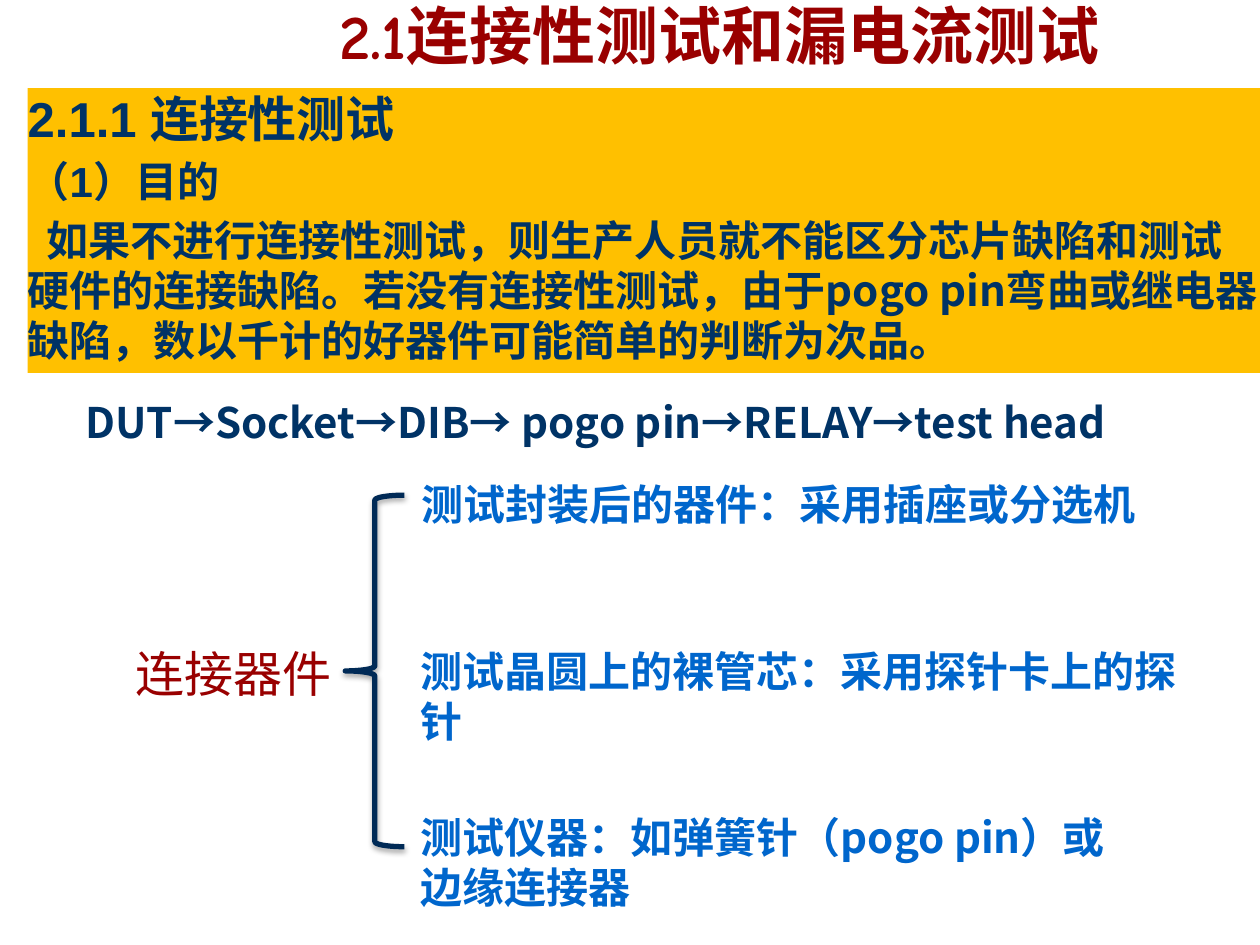
from dataclasses import dataclass

from lxml.etree import SubElement as Sub
from pptx import Presentation
from pptx.dml.color import RGBColor as Rgb
from pptx.enum.shapes import MSO_SHAPE as Kind
from pptx.enum.text import MSO_ANCHOR as Anchor, PP_ALIGN as Align
from pptx.oxml.ns import qn
from pptx.util import Inches, Pt

HUES = {"navy": "003366", "red": "990000", "blue": "0066CC",
        "gold": "FFC000", "white": "FFFFFF", "brace": "002A56",
        "shade": "000000"}
CJK = "Noto Sans CJK SC"


@dataclass
class Style:
    size: int
    hue: str
    font: str = CJK
    bold: bool = True


@dataclass
class Label:
    text: str
    box: tuple
    style: Style


def rgb(hue: str) -> Rgb:
    return Rgb.from_string(HUES[hue])


def add_run(para, text: str, style: Style) -> None:
    run = para.add_run()
    run.text = text
    font = run.font
    font.size, font.bold, font.name = Pt(style.size), style.bold, style.font
    font.color.rgb = rgb(style.hue)
    Sub(font._element, qn("a:ea"), typeface=CJK)


def add_panel(slide, kind: Kind, box: tuple, hue: str):
    shape = slide.shapes.add_shape(kind, *map(Inches, box))
    shape.shadow.inherit = False
    shape.fill.solid()
    shape.fill.fore_color.rgb = rgb(hue)
    shape.line.fill.background()
    shape.text_frame.word_wrap = True
    return shape


def add_label(slide, label: Label) -> None:
    frame = slide.shapes.add_textbox(*map(Inches, label.box)).text_frame
    frame.word_wrap = True
    add_run(frame.paragraphs[0], label.text, label.style)


def add_body(slide, rows: list) -> None:
    frame = add_panel(slide, Kind.RECTANGLE, (0.22, 0.7, 9.79, 2.26),
                      "gold").text_frame
    frame.margin_left = frame.margin_right = 0
    frame.margin_top = frame.margin_bottom = 0
    frame.vertical_anchor = Anchor.TOP
    for i, (text, style, indent) in enumerate(rows):
        para = frame.add_paragraph() if i else frame.paragraphs[0]
        para.alignment = Align.LEFT
        para.space_before = Pt(0.2 * style.size)
        para._p.get_or_add_pPr().set("indent", str(Inches(indent)))
        add_run(para, text, style)


def add_title(slide, text: str) -> None:
    panel = add_panel(slide, Kind.ROUNDED_RECTANGLE,
                      (2.09, 0.01, 7.24, 0.6), "white")
    panel.adjustments[0] = 0.22
    panel.text_frame.vertical_anchor = Anchor.MIDDLE
    para = panel.text_frame.paragraphs[0]
    para.alignment, para.line_spacing = Align.CENTER, 0.9
    add_run(para, text, Style(36, "red", "Comic Neue"))


def add_brace(slide, box: tuple) -> None:
    brace = slide.shapes.add_shape(Kind.LEFT_BRACE, *map(Inches, box))
    brace.fill.background()
    brace.line.color.rgb, brace.line.width = rgb("brace"), Pt(3)
    # Soft shadow straight below
    brace.shadow.inherit = False
    effects = brace._element.spPr.find(qn("a:effectLst"))
    shade = Sub(effects, qn("a:outerShdw"), blurRad=str(Pt(3.1)),
                dist=str(Pt(1.8)), dir="5400000", rotWithShape="0")
    color = Sub(shade, qn("a:srgbClr"), val=HUES["shade"])
    Sub(color, qn("a:alpha"), val="35000")


HEAD = Style(28, "navy", "Arial")
SUB = Style(24, "navy", "Arial")
TEXT = Style(24, "navy")
ITEM = Style(24, "blue")

BODY = [
    ("2.1.1 连接性测试", HEAD, 0),
    ("（1）目的", SUB, 0),
    ("如果不进行连接性测试，则生产人员就不能区分芯片缺陷和测试硬件的连接缺陷。"
     "若没有连接性测试，由于pogo pin弯曲或继电器缺陷，"
     "数以千计的好器件可能简单的判断为次品。", TEXT, 0.15),
]
LABELS = [
    Label("测试封装后的器件：采用插座或分选机", (3.25, 3.75, 6.39, 0.5), ITEM),
    Label("连接器件", (0.98, 5.06, 2.07, 0.57), Style(28, "red", bold=False)),
    Label("测试晶圆上的裸管芯：采用探针卡上的探针", (3.24, 5.07, 6.25, 0.91), ITEM),
    Label("测试仪器：如弹簧针（pogo pin）或边缘连接器", (3.24, 6.39, 5.95, 0.87), ITEM),
    Label("DUT→Socket→DIB→ pogo pin→RELAY→test head", (0.58, 3.1, 9.06, 0.5), TEXT),
]


def main() -> None:
    deck = Presentation()
    deck.slide_width, deck.slide_height = Inches(10), Inches(7.5)
    slide = deck.slides.add_slide(deck.slide_layouts[6])

    # Heading and purpose
    add_body(slide, BODY)
    add_title(slide, "2.1连接性测试和漏电流测试")

    # Bracketed list and signal chain
    add_brace(slide, (2.74, 3.93, 0.47, 2.79))
    for label in LABELS:
        add_label(slide, label)
    deck.save("out.pptx")


if __name__ == "__main__":
    main()
